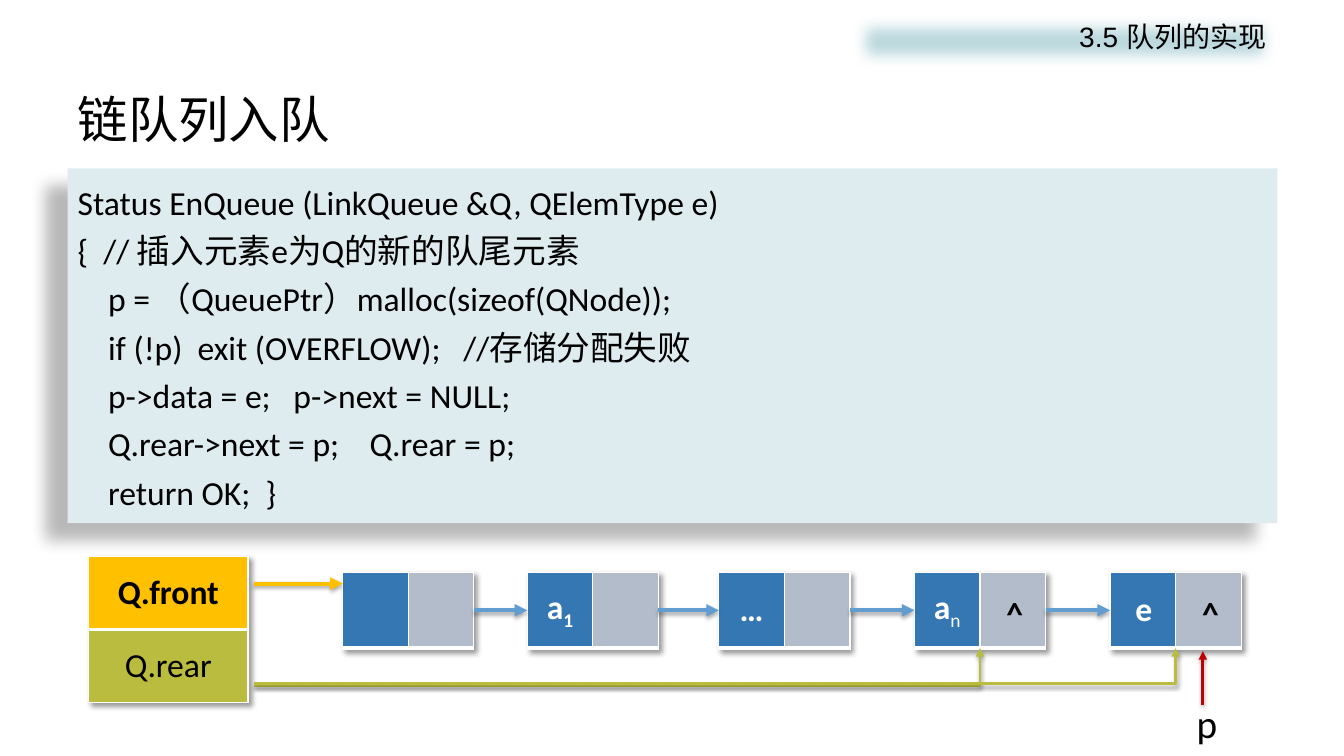
from lxml import etree
from pptx import Presentation
from pptx import util as u
from pptx.dml.color import RGBColor
from pptx.enum import shapes, text
from pptx.oxml.ns import qn

CJK = "Noto Sans CJK SC"
BLACK, WHITE = "000000", "FFFFFF"
BLUE, GREY, SKY = "3477B2", "B2BCCB", "629DD1"
GOLD, OLIVE, RED = "FFC000", "B9BC3E", "C00000"
TITLE = "链队列入队"
SECTION = "3.5 队列的实现"
CODE = """Status EnQueue (LinkQueue &Q, QElemType e)
{  // 插入元素e为Q的新的队尾元素
    p = （QueuePtr）malloc(sizeof(QNode));
    if (!p)  exit (OVERFLOW);   //存储分配失败
    p->data = e;   p->next = NULL;
    Q.rear->next = p;    Q.rear = p;
    return OK;  }"""
NODES = [(2.52, ()), (4.35, ("a", "1")), (6.25, ("…",)), (8.19, ("a", "n")), (10.13, ())]
CELL_WIDTH, NODE_HEIGHT, NODE_TOP = 0.65, 0.75, 0.16


def color(value):
    """Turn a hex string into a colour."""
    return RGBColor.from_string(value)


def place(shape, box):
    """Move a shape to a box given in inches."""
    shape.left, shape.top, shape.width, shape.height = map(u.Inches, box)


def style(paragraph, size, fill, name="Calibri", bold=False, align=text.PP_ALIGN.LEFT):
    """Format a paragraph and its runs."""
    paragraph.alignment = align
    paragraph.space_before = u.Pt(0)
    for run in paragraph.runs:
        run.font.size, run.font.name, run.font.bold = u.Pt(size), name, bold
        run.font.color.rgb = color(fill)
        etree.SubElement(run._r.get_or_add_rPr(), qn("a:ea")).set("typeface", CJK)


def plain(paragraph):
    """Remove the bullet and indent of a list paragraph."""
    properties = paragraph._p.get_or_add_pPr()
    properties.set("marL", "0")
    properties.set("indent", "0")
    etree.SubElement(properties, qn("a:buNone"))


def shadow(effects, opacity, blur, distance, angle):
    """Add an outer shadow to an effect list."""
    outer = etree.SubElement(effects, qn("a:outerShdw"), blurRad=str(u.Pt(blur)),
                             dist=str(u.Pt(distance)), dir=str(angle * 60000),
                             algn="ctr", rotWithShape="0")
    tone = etree.SubElement(outer, qn("a:srgbClr"), val=BLACK)
    etree.SubElement(tone, qn("a:alpha"), val=str(opacity * 1000))


def arrow(parent, start, end, fill, width=3, bent=False):
    """Draw an arrow between two points."""
    kind = shapes.MSO_CONNECTOR.ELBOW if bent else shapes.MSO_CONNECTOR.STRAIGHT
    connector = parent.shapes.add_connector(kind, *map(u.Inches, (*start, *end)))
    connector.line.color.rgb = color(fill)
    connector.line.width = u.Pt(width)
    properties = connector._element.spPr
    if bent:
        properties.find(qn("a:prstGeom")).set("prst", "bentConnector2")
    etree.SubElement(properties.find(qn("a:ln")), qn("a:tailEnd"), type="triangle")
    shadow(etree.SubElement(properties, qn("a:effectLst")), 35, 3.1, 1.8, 90)


def label(parent, box, words, size, fill, **options):
    """Place a short text label."""
    shape = parent.shapes.add_textbox(*map(u.Inches, box))
    shape.text_frame.word_wrap = True
    shape.text_frame.text = words
    style(shape.text_frame.paragraphs[0], size, fill, **options)


def grid(slide, box, rows, columns):
    """Add an unstyled table with a soft shadow."""
    table = slide.shapes.add_table(rows, columns, *map(u.Inches, box)).table
    table.first_row = table.horz_banding = False
    effects = etree.Element(qn("a:effectLst"))
    table._tbl.tblPr.insert(0, effects)
    shadow(effects, 40, 4, 3, 45)
    return table


def fill_cell(cell, fill, words=(), ink=WHITE, bold=True, bottom=3):
    """Fill a cell, draw its borders and write a word with its subscript."""
    cell.fill.solid()
    cell.fill.fore_color.rgb = color(fill)
    properties = cell._tc.get_or_add_tcPr()
    for index, (side, width) in enumerate(zip("LRTB", (1, 1, 1, bottom))):
        border = etree.Element(qn("a:ln" + side), w=str(u.Pt(width)))
        solid = etree.SubElement(border, qn("a:solidFill"))
        etree.SubElement(solid, qn("a:srgbClr"), val=WHITE)
        properties.insert(index, border)
    cell.vertical_anchor = text.MSO_ANCHOR.MIDDLE
    paragraph = cell.text_frame.paragraphs[0]
    for word in words:
        paragraph.add_run().text = word
    style(paragraph, 24, ink, bold=bold, align=text.PP_ALIGN.CENTER)
    for run in paragraph.runs[1:]:
        run.font.bold = run.text.isdigit()
        run._r.get_or_add_rPr().set("baseline", "-25000")


def build_title(slide, box):
    """Write the slide title."""
    title = slide.shapes.title
    place(title, box)
    title.text_frame.text = TITLE
    title.text_frame.vertical_anchor = text.MSO_ANCHOR.MIDDLE
    style(title.text_frame.paragraphs[0], 36, BLACK, CJK)


def build_panel(shape, box, words, fill):
    """Turn a body placeholder into a filled panel of plain lines."""
    place(shape, box)
    shape.fill.solid()
    shape.fill.fore_color.rgb = color(fill)
    frame = shape.text_frame
    frame.text = words
    frame.auto_size = text.MSO_AUTO_SIZE.NONE
    for paragraph in frame.paragraphs:
        plain(paragraph)
    return etree.SubElement(shape._element.spPr, qn("a:effectLst"))


def build_code(shape, box):
    """Write the code panel."""
    shadow(build_panel(shape, box, CODE, "DEECEF"), 28, 11.8, 19.7, 141)
    for paragraph in shape.text_frame.paragraphs:
        paragraph.line_spacing = 1.2
        style(paragraph, 24, BLACK)


def build_section(shape, box):
    """Write the section name on a soft-edged band."""
    effects = build_panel(shape, box, SECTION, "BDDADF")
    etree.SubElement(effects, qn("a:softEdge"), rad=str(u.Pt(10)))
    style(shape.text_frame.paragraphs[0], 20, BLACK, "Arial", align=text.PP_ALIGN.RIGHT)


def build_queue(slide, box):
    """Draw the queue head, the linked nodes and their pointers."""
    left, top, width, height = box
    head = grid(slide, (left, top, 1.58, 1.45), 2, 1)
    fill_cell(head.cell(0, 0), GOLD, ("Q.front",), BLACK)
    fill_cell(head.cell(1, 0), OLIVE, ("Q.rear",), BLACK, bold=False, bottom=1)

    node_top = top + NODE_TOP
    middle, bottom = node_top + NODE_HEIGHT / 2, node_top + NODE_HEIGHT
    lefts = [left + offset for offset, _ in NODES]
    for node_left, (_, words) in zip(lefts, NODES):
        node = grid(slide, (node_left, node_top, 2 * CELL_WIDTH, NODE_HEIGHT), 1, 2)
        fill_cell(node.cell(0, 0), BLUE, words)
        fill_cell(node.cell(0, 1), GREY)
    for here, following in zip(lefts, lefts[1:]):
        arrow(slide, (here + 2 * CELL_WIDTH, middle), (following, middle), SKY)

    pointer_left = left + 1.64
    arrow(slide, (pointer_left, top + 0.27), (lefts[0], top + 0.27), GOLD)
    for node_left, drop in zip(lefts[-2:], (1.28, 1.26)):
        arrow(slide, (pointer_left, top + drop), (node_left + CELL_WIDTH, bottom),
              OLIVE, 2, bent=True)
        label(slide, (node_left + 0.71, node_top + 0.15, 0.57, 0.5), "^", 24, BLACK,
              bold=True, align=text.PP_ALIGN.CENTER)
    label(slide, (lefts[-1] + 0.05, node_top + 0.1, 0.57, 0.5), "e", 24, WHITE,
          bold=True, align=text.PP_ALIGN.CENTER)

    pointer = slide.shapes.add_group_shape()
    right = left + width
    label(pointer, (right - 0.54, top + height - 0.57, 0.54, 0.57), "p", 28, BLACK)
    arrow(pointer, (right - 0.38, top + 1.47), (right - 0.38, top + 0.94), RED, 2)


def main():
    """Build the slide and save it."""
    presentation = Presentation()
    presentation.slide_width, presentation.slide_height = u.Inches(13.33), u.Inches(7.5)
    slide = presentation.slides.add_slide(presentation.slide_layouts[3])
    code, section = slide.placeholders[1], slide.placeholders[2]
    build_title(slide, (0.67, 0.8, 12, 0.75))
    build_code(code, (0.67, 1.67, 12, 3.52))
    build_section(section, (8.46, 0.14, 4.2, 0.54))
    build_queue(slide, (0.88, 5.52, 11.43, 1.94))
    presentation.save("out.pptx")


if __name__ == "__main__":
    main()
